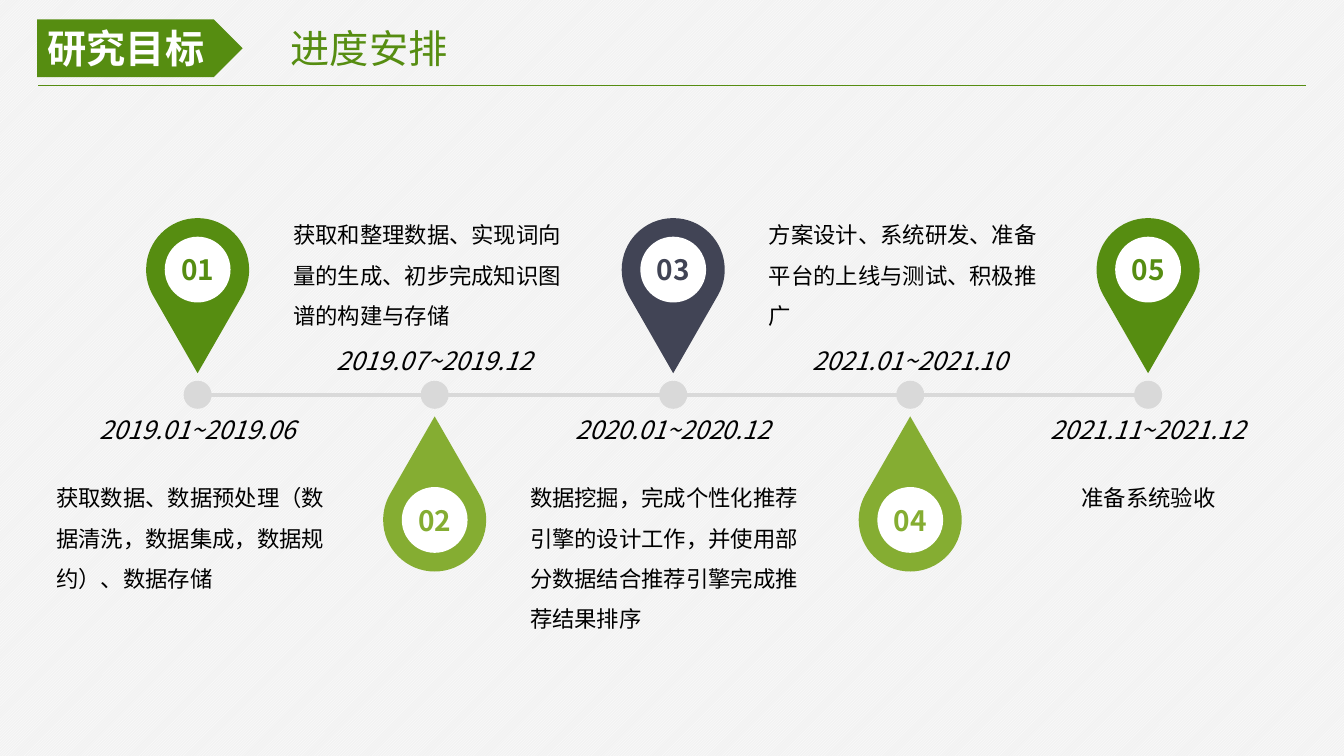
from dataclasses import dataclass

from lxml.etree import SubElement
from pptx import Presentation
from pptx.dml.color import RGBColor
from pptx.enum.dml import MSO_PATTERN
from pptx.enum.shapes import MSO_CONNECTOR, MSO_SHAPE
from pptx.enum.text import MSO_ANCHOR, MSO_AUTO_SIZE, PP_ALIGN
from pptx.oxml.ns import qn
from pptx.shapes.autoshape import Shape
from pptx.slide import Slide
from pptx.text.text import TextFrame
from pptx.util import Pt

FONT = "Noto Sans CJK SC"
COLORS = {
    "green": "568D11",
    "lime": "85AD32",
    "slate": "414455",
    "track": "D9D9D9",
    "paper": "F2F2F2",
    "white": "FFFFFF",
    "black": "000000",
}

AXIS_Y, HEAD_OFFSET = 282, 89.4
DISC_SIZE, DOT_SIZE = 47, 20
DATE_WIDTH, DATE_HEIGHT = 172.8, 28.8
TASK_WIDTH = 216.7

PIN_TOP, PIN_TIP = (0, -36.8), (0, 74)
PIN_SHOULDER = [(20.3, -36.8), (36.8, -20.3), (36.8, 0)]
PIN_FLANK = [(36.8, 6.5), (35.1, 12.8), (31.9, 18.4)]
PIN_RIGHT = PIN_SHOULDER + PIN_FLANK
PIN_LEFT = [(-dx, dy) for dx, dy in reversed([PIN_TOP] + PIN_RIGHT)]
PIN_OUTLINE = PIN_RIGHT + [PIN_TIP] + PIN_LEFT
PIN_CURVE_STARTS = (0, 3, 8, 11)


@dataclass(frozen=True)
class TextStyle:
    size: float
    color: str = "black"
    bold: bool = False
    italic: bool = False
    align: PP_ALIGN = PP_ALIGN.LEFT
    spacing: float = 1.0


@dataclass(frozen=True)
class Stage:
    number: str
    x: float
    period: str
    task: str
    task_left: float
    task_height: float
    color: str
    pin_above: bool
    task_align: PP_ALIGN = PP_ALIGN.LEFT


STAGES = [
    Stage("01", 141.2, "2019.01~2019.06",
          "获取数据、数据预处理（数据清洗，数据集成，数据规约）、数据存储",
          33.1, 94.3, "green", True),
    Stage("02", 310.5, "2019.07~2019.12",
          "获取和整理数据、实现词向量的生成、初步完成知识图谱的构建与存储",
          202.3, 94.3, "lime", False),
    Stage("03", 480.9, "2020.01~2020.12",
          "数据挖掘，完成个性化推荐引擎的设计工作，并使用部分数据结合推荐引擎完成推荐结果排序",
          371.5, 123.8, "slate", True),
    Stage("04", 650.2, "2021.01~2021.10",
          "方案设计、系统研发、准备平台的上线与测试、积极推广",
          542.1, 94.3, "lime", False),
    Stage("05", 820.1, "2021.11~2021.12", "准备系统验收",
          712, 36, "green", True, PP_ALIGN.CENTER),
]


def rgb(color: str) -> RGBColor:
    return RGBColor.from_string(COLORS[color])


def write(frame: TextFrame, text: str, style: TextStyle) -> None:
    frame.text = text
    frame.word_wrap = True
    paragraph = frame.paragraphs[0]
    paragraph.alignment = style.align
    paragraph.line_spacing = style.spacing
    font = paragraph.font
    font.size = Pt(style.size)
    font.bold = style.bold
    font.italic = style.italic
    font.color.rgb = rgb(style.color)
    font.name = FONT
    defaults = paragraph._p.get_or_add_pPr().find(qn("a:defRPr"))
    SubElement(defaults, qn("a:ea"), typeface=FONT)


def add_label(slide: Slide, left: float, top: float, width: float, height: float,
              text: str, style: TextStyle) -> None:
    label = slide.shapes.add_textbox(Pt(left), Pt(top), Pt(width), Pt(height))
    write(label.text_frame, text, style)
    label.text_frame.auto_size = MSO_AUTO_SIZE.SHAPE_TO_FIT_TEXT


def paint(shape: Shape, color: str) -> None:
    shape.fill.solid()
    shape.fill.fore_color.rgb = rgb(color)
    shape.line.fill.background()
    shape.shadow.inherit = False


def add_circle(slide: Slide, x: float, y: float, size: float, color: str) -> Shape:
    circle = slide.shapes.add_shape(
        MSO_SHAPE.OVAL, Pt(x - size / 2), Pt(y - size / 2), Pt(size), Pt(size))
    paint(circle, color)
    return circle


def add_rule(slide: Slide, left: float, right: float, y: float, color: str, width: float) -> None:
    rule = slide.shapes.add_connector(
        MSO_CONNECTOR.STRAIGHT, Pt(left), Pt(y), Pt(right), Pt(y))
    rule.line.color.rgb = rgb(color)
    rule.line.width = Pt(width)
    SubElement(rule._element.spPr, qn("a:effectLst"))


def round_corners(pin: Shape) -> None:
    segments = list(pin._element.iter(qn("a:lnTo")))
    for start in PIN_CURVE_STARTS:
        first, *others = segments[start:start + 3]
        first.tag = qn("a:cubicBezTo")
        for other in others:
            first.append(other[0])
            other.getparent().remove(other)


def add_pin(slide: Slide, stage: Stage) -> None:
    side = -1 if stage.pin_above else 1
    head_y = AXIS_Y + side * HEAD_OFFSET
    top, *outline = [
        (Pt(stage.x + dx), Pt(head_y - side * dy)) for dx, dy in [PIN_TOP] + PIN_OUTLINE
    ]
    builder = slide.shapes.build_freeform(*top)
    builder.add_line_segments(outline, close=True)
    pin = builder.convert_to_shape()
    round_corners(pin)
    paint(pin, stage.color)

    disc = add_circle(slide, stage.x, head_y, DISC_SIZE, "white")
    frame = disc.text_frame
    frame.margin_left = frame.margin_right = frame.margin_top = frame.margin_bottom = Pt(0)
    frame.vertical_anchor = MSO_ANCHOR.MIDDLE
    write(frame, stage.number, TextStyle(20, stage.color, bold=True, align=PP_ALIGN.CENTER))


def add_stage(slide: Slide, stage: Stage) -> None:
    add_pin(slide, stage)
    add_circle(slide, stage.x, AXIS_Y, DOT_SIZE, "track")
    date_top, task_top = (292.4, 332.9) if stage.pin_above else (242.9, 145)
    add_label(slide, stage.x - DATE_WIDTH / 2, date_top, DATE_WIDTH, DATE_HEIGHT, stage.period,
              TextStyle(18, italic=True, align=PP_ALIGN.CENTER))
    add_label(slide, stage.task_left, task_top, TASK_WIDTH, stage.task_height, stage.task,
              TextStyle(16, align=stage.task_align, spacing=1.5))


def add_header(slide: Slide) -> None:
    title = slide.shapes.title
    title.left, title.top, title.width, title.height = Pt(200.5), Pt(14), Pt(562.3), Pt(41)
    write(title.text_frame, "进度安排", TextStyle(28, "green"))
    title.text_frame.vertical_anchor = MSO_ANCHOR.TOP
    title.text_frame.auto_size = MSO_AUTO_SIZE.SHAPE_TO_FIT_TEXT

    banner = slide.shapes.add_shape(
        MSO_SHAPE.PENTAGON, Pt(26.5), Pt(13.9), Pt(146.8), Pt(41.2))
    paint(banner, "green")
    add_label(slide, 27, 14, 126.7, 41, "研究目标", TextStyle(28, "white", bold=True))
    add_rule(slide, 27.4, 933, 61, "green", 1)


def main() -> None:
    deck = Presentation()
    deck.slide_width, deck.slide_height = Pt(960), Pt(540)
    slide = deck.slides.add_slide(deck.slide_layouts[5])

    backdrop = slide.background.fill
    backdrop.patterned()
    backdrop.pattern = MSO_PATTERN.LIGHT_UPWARD_DIAGONAL
    backdrop.fore_color.rgb = rgb("white")
    backdrop.back_color.rgb = rgb("paper")

    add_header(slide)
    add_rule(slide, STAGES[0].x, STAGES[-1].x, AXIS_Y, "track", 3)
    for stage in STAGES:
        add_stage(slide, stage)

    deck.save("out.pptx")


if __name__ == "__main__":
    main()
